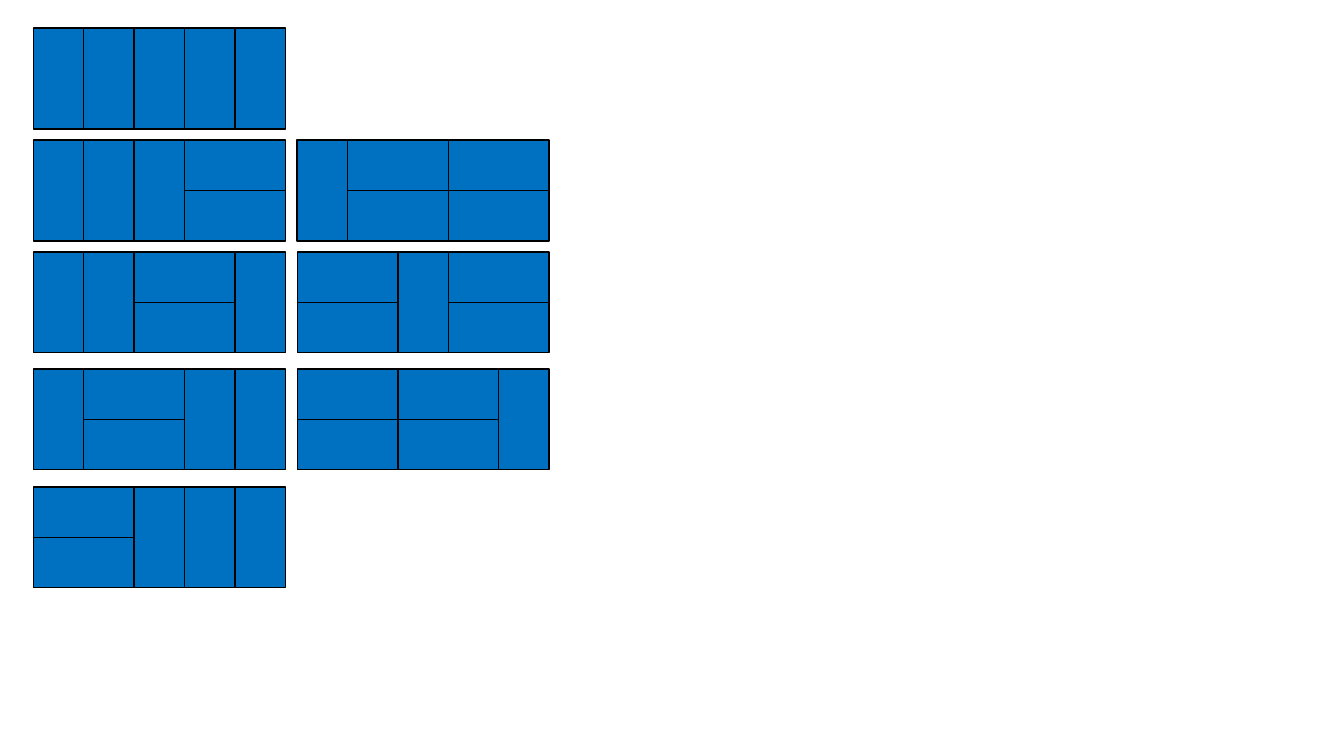
import pptx
import pptx.dml.color
import pptx.enum.shapes
import pptx.util

Cm = pptx.util.Cm
BLUE = pptx.dml.color.RGBColor(0x00, 0x70, 0xC0)
BLACK = pptx.dml.color.RGBColor(0x00, 0x00, 0x00)

SHORT = Cm(1.27)
LONG = 2 * SHORT

LEFT_COLUMN, RIGHT_COLUMN = Cm(0.84), Cm(7.49)
ROWS = [Cm(0.71), Cm(3.53), Cm(6.35), Cm(9.3), Cm(12.27)]

# V is one upright domino, H a stacked pair of lying ones
TILINGS = [
    (LEFT_COLUMN, ROWS, ["VVVVV", "VVVH", "VVHV", "VHVV", "HVVV"]),
    (RIGHT_COLUMN, ROWS[1:4], ["VHH", "HVH", "HHV"]),
]


def add_domino(group, x, y, rotation=0):
    sp = group.shapes.add_shape(
        pptx.enum.shapes.MSO_SHAPE.RECTANGLE, x, y, SHORT, LONG)
    sp.rotation = rotation
    sp.shadow.inherit = False
    sp.fill.solid()
    sp.fill.fore_color.rgb = BLUE
    sp.line.color.rgb = BLACK
    sp.line.width = pptx.util.Pt(1)


def add_lying_pair(group, x, y):
    """Stack two dominoes turned by 90 degrees in a square at x, y."""
    offset = (LONG - SHORT) // 2
    for i in range(2):
        add_domino(group, x + offset, y - offset + i * SHORT, 90)


def add_tiling(s, x, y, pattern):
    """Fill a 2 by 5 board at x, y with one group of dominoes."""
    group = s.shapes.add_group_shape()
    for piece in pattern:
        if piece == "V":
            add_domino(group, x, y)
            x += SHORT
        else:
            add_lying_pair(group, x, y)
            x += LONG


def main():
    prs = pptx.Presentation()
    prs.slide_width, prs.slide_height = Cm(33.87), Cm(19.05)
    s = prs.slides.add_slide(prs.slide_layouts[6])
    for x, rows, patterns in TILINGS:
        for y, pattern in zip(rows, patterns):
            add_tiling(s, x, y, pattern)
    prs.save("out.pptx")


if __name__ == "__main__":
    main()
